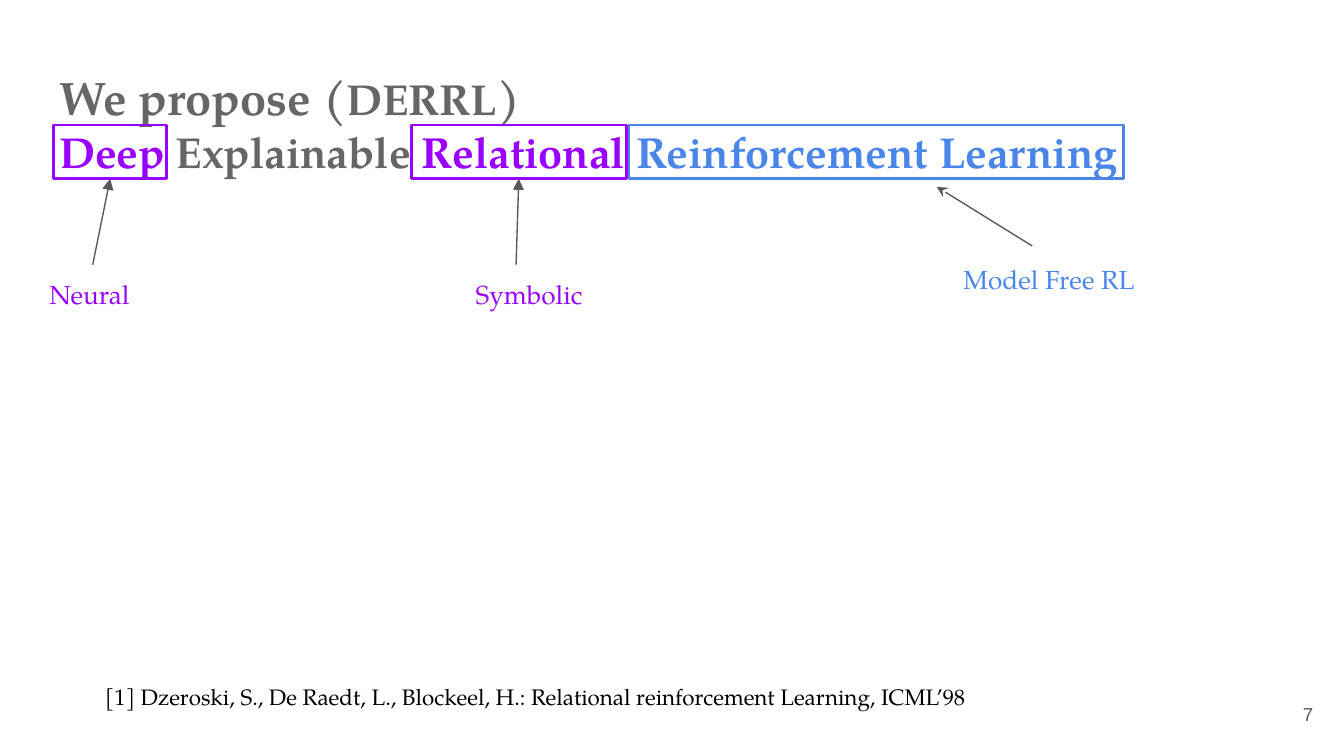
from lxml import etree
from pptx import Presentation
from pptx import util as u
from pptx.dml.color import RGBColor
from pptx.enum import shapes, text
from pptx.oxml.ns import qn

SERIF, SANS = "TeX Gyre Pagella", "Arial"
GREY, DARK, PURPLE, BLUE, BLACK = "666666", "595959", "9900FF", "4A86E8", "000000"


def rgb(value):
    return RGBColor.from_string(value)


def write(paragraph, words, size=14, color=BLACK, font=SERIF, bold=False,
          align=text.PP_ALIGN.LEFT):
    paragraph.alignment = align
    run = paragraph.add_run()
    run.text = words
    run.font.name = font
    run.font.size = u.Pt(size)
    run.font.bold = bold
    run.font.color.rgb = rgb(color)


class Deck:
    def __init__(self):
        self.prs = Presentation()
        # Widescreen, 16:9
        self.prs.slide_width = u.Inches(10)
        self.prs.slide_height = u.Inches(10 * 9 / 16)
        self.slide = self.prs.slides.add_slide(self.prs.slide_layouts[5])

    def frame(self, shape, anchor=text.MSO_ANCHOR.TOP):
        body = shape.text_frame
        body.word_wrap = True
        body.auto_size = text.MSO_AUTO_SIZE.NONE
        body.vertical_anchor = anchor
        body.margin_left = body.margin_right = u.Inches(0.1)
        body.margin_top = body.margin_bottom = u.Inches(0.1)
        return body

    def title(self, lines, left, top, width, height):
        heading = self.slide.shapes.title
        heading.left, heading.top = u.Inches(left), u.Inches(top)
        heading.width, heading.height = u.Inches(width), u.Inches(height)
        body = self.frame(heading)
        for number, line in enumerate(lines):
            paragraph = body.add_paragraph() if number else body.paragraphs[0]
            paragraph.space_before = u.Pt(0)
            for words, size, color in line:
                write(paragraph, words, size=size, color=color, bold=True)

    def label(self, words, left, top, width, height,
              anchor=text.MSO_ANCHOR.TOP, **style):
        box = self.slide.shapes.add_textbox(
            u.Inches(left), u.Inches(top), u.Inches(width), u.Inches(height))
        write(self.frame(box, anchor).paragraphs[0], words, **style)

    def outline(self, left, width, color, top=0.93, height=0.4):
        box = self.slide.shapes.add_shape(
            shapes.MSO_SHAPE.RECTANGLE,
            u.Inches(left), u.Inches(top), u.Inches(width), u.Inches(height))
        box.shadow.inherit = False
        box.fill.background()
        box.line.color.rgb = rgb(color)
        box.line.width = u.Pt(1.5)
        return box

    def arrow(self, start, end, target=None, head="triangle"):
        line = self.slide.shapes.add_connector(
            shapes.MSO_CONNECTOR.STRAIGHT, *map(u.Inches, start + end))
        if target is not None:
            line.end_connect(target, 2)
        line.line.color.rgb = rgb(DARK)
        line.line.width = u.Pt(0.75)
        etree.SubElement(line.line._get_or_add_ln(), qn("a:tailEnd"), type=head)
        etree.SubElement(line._element.spPr, qn("a:effectLst"))


def main():
    deck = Deck()

    # Title with the acronym spelled out
    deck.title([
        [("We propose (", 25.2, GREY), ("DERRL", 23.2, GREY), (")", 25.2, GREY)],
        [("Deep ", 23.2, PURPLE), ("Explainable ", 23.2, GREY),
         ("Relational", 23.2, PURPLE), (" Reinforcement Learning", 23.2, BLUE)],
    ], 0.34, 0.41, 9.32, 0.95)

    # Slide number and reference
    deck.label("7", 9.27, 5.1, 0.6, 0.43, anchor=text.MSO_ANCHOR.MIDDLE,
               size=10, color=DARK, font=SANS, align=text.PP_ALIGN.RIGHT)
    deck.label(" [1] Dzeroski, S., De Raedt, L., Blockeel, H.: "
               "Relational reinforcement Learning, ICML’98",
               0.64, 4.98, 7.89, 0.4, size=12)

    # Reinforcement learning: frame, arrow, explanation
    deck.outline(4.68, 3.68, BLUE)
    deck.arrow((7.68, 1.83), (6.97, 1.39), head="stealth")
    deck.label("Model Free RL", 7.07, 1.86, 1.6, 0.36, color=BLUE)

    # Deep and relational: frames, arrows, explanations
    deep = deck.outline(0.4, 0.84, PURPLE)
    relational = deck.outline(3.06, 1.6, PURPLE)
    deck.arrow((0.69, 1.97), (0.82, 1.33), deep)
    deck.label("Neural", 0.27, 1.97, 0.8, 0.36, color=PURPLE)
    deck.label("Symbolic", 3.44, 1.97, 1.04, 0.36, color=PURPLE)
    deck.arrow((3.84, 1.97), (3.86, 1.33), relational)

    deck.prs.save("out.pptx")


if __name__ == "__main__":
    main()
